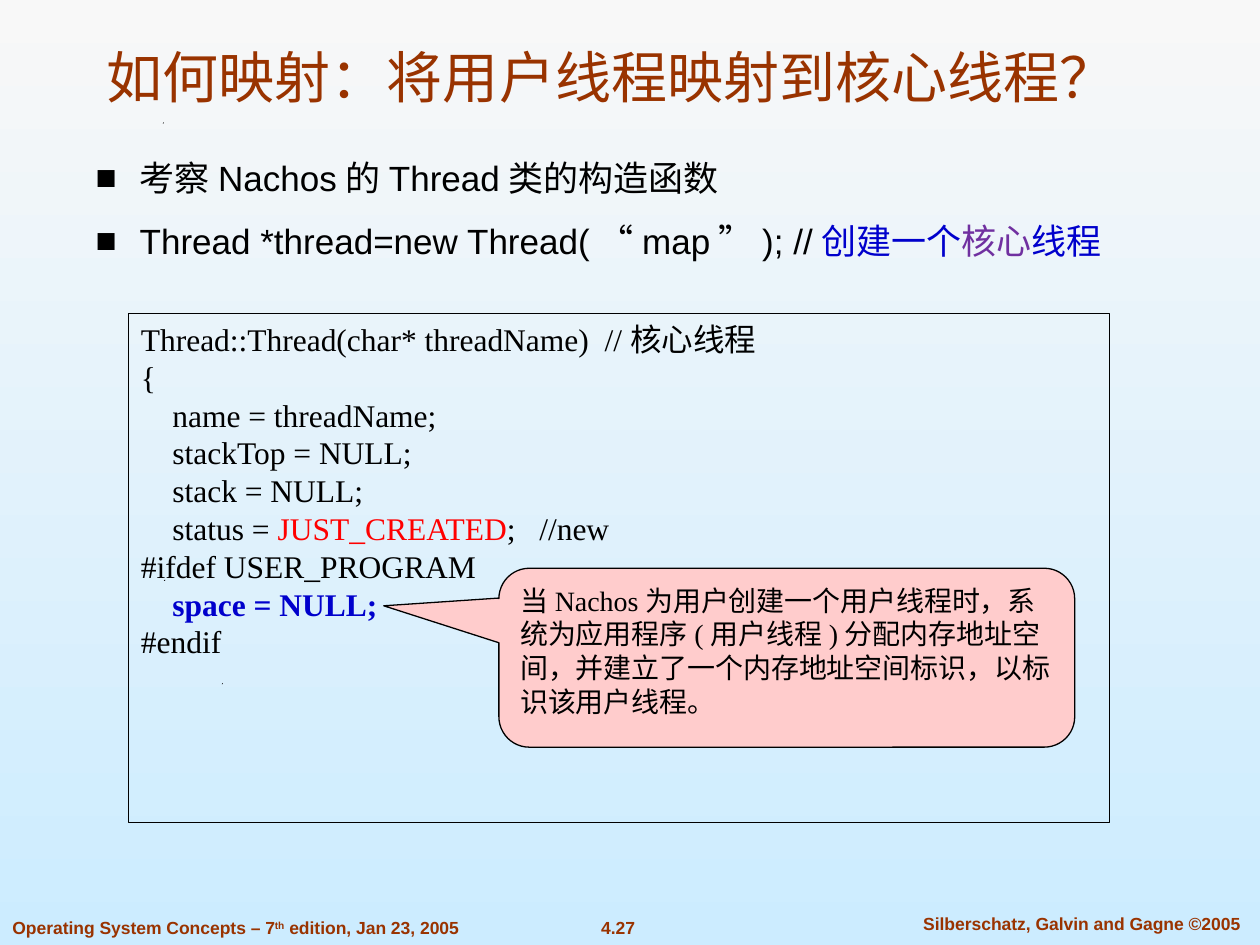
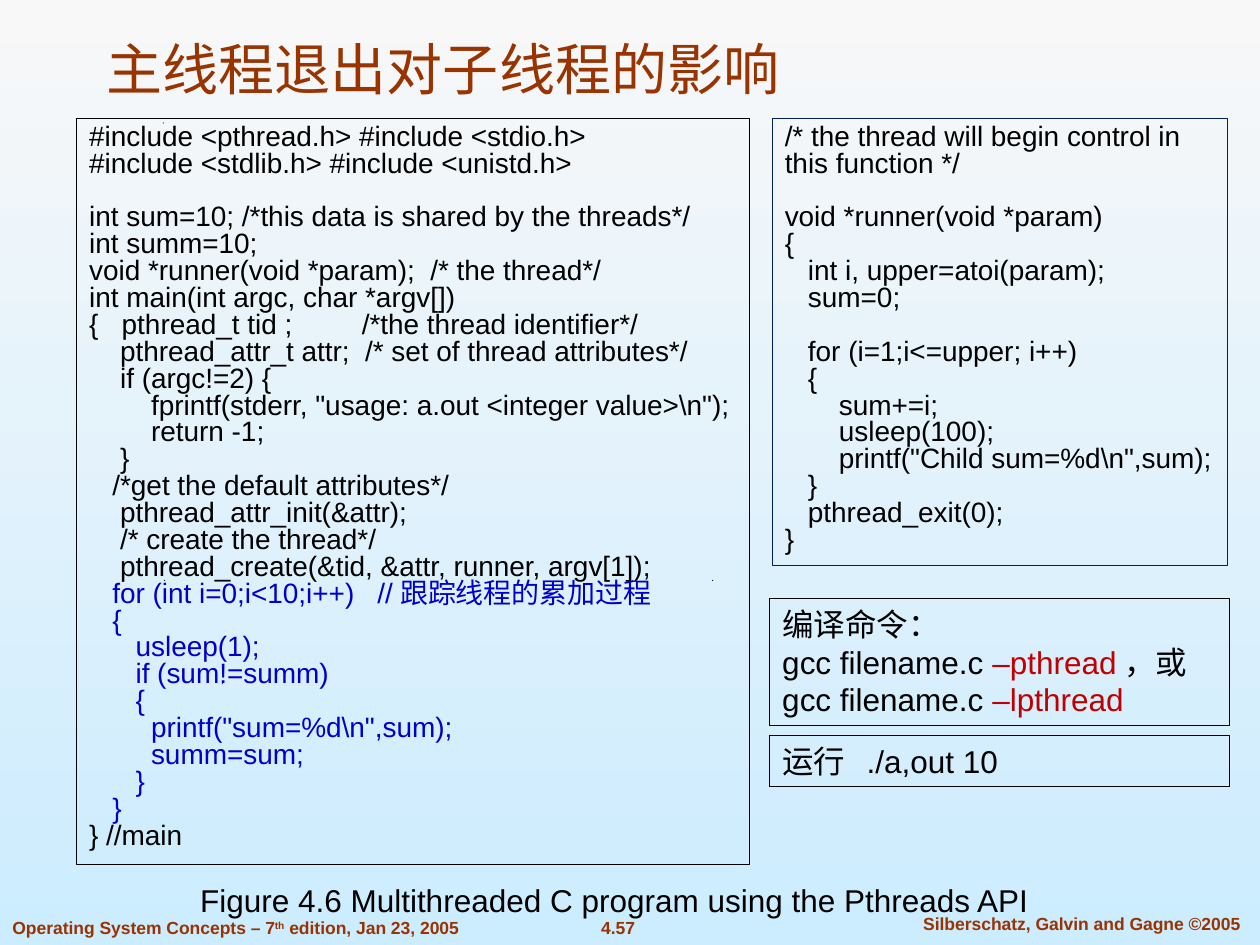
import pptx
import pptx.dml.color
import pptx.enum.shapes
import pptx.enum.text
import pptx.oxml.ns
import pptx.util
from lxml import etree

Inches = pptx.util.Inches
Pt = pptx.util.Pt
Shape = pptx.enum.shapes.MSO_SHAPE
Align = pptx.enum.text.PP_ALIGN
Anchor = pptx.enum.text.MSO_ANCHOR

COLORS = {
    "sky_top": "F8F8F8", "sky_bottom": "CCECFF", "rust": "993300",
    "black": "000000", "blue": "0000CC", "purple": "7030A0", "red": "FF0000",
    "dark_red": "C00000", "navy": "002060", "pink": "FFCCCC",
}

# Text styles: every entry is a font attribute, except the colour
TITLE = {"name": "Arial", "size": Pt(32), "bold": False, "color": "rust"}
FOOTER = {"name": "Arial", "size": Pt(10), "bold": True, "color": "rust"}
BODY = {"name": "Arial", "size": Pt(20), "color": "black"}
COMMAND = {"name": "Arial", "size": Pt(18), "color": "black"}
PROGRAM = {"name": "Arial", "size": Pt(16), "color": "black"}
LISTING = {"name": "Times New Roman", "size": Pt(18), "color": "black"}
REMARK = {"name": "Times New Roman", "size": Pt(16), "color": "black"}

SPECKS = [(1.76, 5.42), (1.3, 4.6), (5.65, 4.6), (1.29, 0.97)]
SPECK_SIZE = 0.01


def rgb(name):
    return pptx.dml.color.RGBColor.from_string(COLORS[name])


def code(source, **look):
    """One paragraph per line; an empty line becomes an empty list."""
    return [[(line, look)] if line else []
            for line in source.strip("\n").splitlines()]


class Deck:
    def __init__(self):
        self.prs = pptx.Presentation()
        self.prs.slide_width, self.prs.slide_height = Inches(10), Inches(7.5)
        self.slide = None
        sky = self.prs.slide_master.background.fill
        sky.gradient()
        sky.gradient_angle = 270
        for stop, name in zip(sky.gradient_stops, ("sky_top", "sky_bottom")):
            stop.color.rgb = rgb(name)

    def new_slide(self, title, number, title_height):
        self.slide = self.prs.slides.add_slide(self.prs.slide_layouts[6])
        # Background specks
        for left, top in SPECKS:
            self.speck(left, top)
        # Footer
        self.text((4.5, 7.23, 0.81, 0.27), [number], FOOTER, align=Align.CENTER)
        self.text((7.1, 7.2, 2.97, 0.27), ["Silberschatz, Galvin and Gagne ©2005"],
                  FOOTER, align=Align.CENTER)
        self.text((0, 7.23, 4.21, 0.27),
                  [["Operating System Concepts – 7", ("th", {"baseline": "30000"}),
                    " edition, Jan 23, 2005"]], FOOTER)
        # Title
        self.text((0.75, 0.25, 8.83, title_height), [title], TITLE,
                  anchor=Anchor.BOTTOM)

    def speck(self, left, top):
        right, bottom = left + SPECK_SIZE, top + SPECK_SIZE
        outline = self.slide.shapes.build_freeform(Inches(left), Inches(bottom))
        outline.add_line_segments([(Inches(right), Inches(top)),
                                   (Inches(right), Inches(bottom))], close=True)
        speck = outline.convert_to_shape()
        speck.shadow.inherit = False
        speck.fill.solid()
        speck.fill.fore_color.rgb = rgb("black")
        speck.line.fill.background()

    def style_run(self, run, style):
        for attribute, value in style.items():
            if attribute == "color":
                run.font.color.rgb = rgb(value)
            elif attribute == "baseline":
                run._r.get_or_add_rPr().set("baseline", value)
            else:
                setattr(run.font, attribute, value)

    def fill_text(self, frame, paragraphs, style, anchor=Anchor.TOP, **layout):
        frame.word_wrap = True
        frame.vertical_anchor = anchor
        layout = {"alignment": layout.pop("align", Align.LEFT), **layout}
        gap, first = 0, True
        for pieces in paragraphs:
            if not pieces:
                gap += style["size"] * 1.2 * layout.get("line_spacing", 1)
                continue
            paragraph = frame.paragraphs[0] if first else frame.add_paragraph()
            for attribute, value in layout.items():
                if not (first and attribute == "space_before"):
                    setattr(paragraph, attribute, value)
            if gap:
                paragraph.space_before = int(gap)
            gap, first = 0, False
            for piece in [pieces] if isinstance(pieces, str) else pieces:
                words, look = (piece, {}) if isinstance(piece, str) else piece
                run = paragraph.add_run()
                run.text = words
                self.style_run(run, {**style, **look})

    def text(self, at, paragraphs, style, **layout):
        box = self.slide.shapes.add_textbox(*map(Inches, at))
        self.fill_text(box.text_frame, paragraphs, style, **layout)
        return box

    def panel(self, at, paragraphs, style, kind=Shape.RECTANGLE, fill=None,
              line="black", width=0.75, **layout):
        panel = self.slide.shapes.add_shape(kind, *map(Inches, at))
        panel.shadow.inherit = False
        if fill:
            panel.fill.solid()
            panel.fill.fore_color.rgb = rgb(fill)
        else:
            panel.fill.background()
        panel.line.color.rgb = rgb(line)
        panel.line.width = Pt(width)
        self.fill_text(panel.text_frame, paragraphs, style, **layout)
        return panel

    def callout(self, at, paragraphs, style, fill, adjustments):
        callout = self.panel(at, paragraphs, style,
                             Shape.ROUNDED_RECTANGULAR_CALLOUT, fill)
        for index, value in enumerate(adjustments):
            callout.adjustments[index] = value

    def add_property(self, parent, tag, **attributes):
        return etree.SubElement(parent, pptx.oxml.ns.qn(tag), attributes)

    def bullets(self, at, paragraphs, style):
        box = self.text(at, paragraphs, style, space_before=Pt(12))
        for paragraph in box.text_frame.paragraphs:
            properties = paragraph._p.get_or_add_pPr()
            properties.set("marL", str(Inches(0.35)))
            properties.set("indent", str(-Inches(0.35)))
            color = self.add_property(properties, "a:buClr")
            self.add_property(color, "a:srgbClr", val=COLORS["black"])
            self.add_property(properties, "a:buSzPct", val="100000")
            self.add_property(properties, "a:buFont", typeface="Arial")
            self.add_property(properties, "a:buChar", char="■")

    def tab_stop(self, shape, position):
        for paragraph in shape.text_frame.paragraphs:
            stops = self.add_property(paragraph._p.get_or_add_pPr(), "a:tabLst")
            self.add_property(stops, "a:tab", pos=str(Inches(position)), algn="l")


THREAD_START = """
Thread::Thread(char* threadName)  //核心线程
{
    name = threadName;
    stackTop = NULL;
    stack = NULL;
"""

MAIN_START = r"""
#include <pthread.h> #include <stdio.h>
#include <stdlib.h> #include <unistd.h>

int sum=10; /*this data is shared by the threads*/
int summ=10;
void *runner(void *param);  /* the thread*/
int main(int argc, char *argv[])
{   pthread_t tid ;         /*the thread identifier*/
    pthread_attr_t attr;  /* set of thread attributes*/
    if (argc!=2) {
        fprintf(stderr, "usage: a.out <integer value>\n");
        return -1;
    }
   /*get the default attributes*/
    pthread_attr_init(&attr);
    /* create the thread*/
    pthread_create(&tid, &attr, runner, argv[1]);
"""

TRACE_LOOP = r"""
   for (int i=0;i<10;i++)   //跟踪线程的累加过程
   {
      usleep(1);
      if (sum!=summ)
      {
        printf("sum=%d\n",sum);
        summ=sum;
      }
   }
"""

RUNNER = r"""
/* the thread will begin control in this function */

void *runner(void *param)
{
   int i, upper=atoi(param);
   sum=0;

   for (i=1;i<=upper; i++)
   {
       sum+=i;
       usleep(100);
       printf("Child sum=%d\n",sum);
   }
   pthread_exit(0);
}
"""


def mapping_slide(deck):
    deck.new_slide("如何映射：将用户线程映射到核心线程？", "4.27", 0.67)
    blue = {"color": "blue"}
    deck.bullets((0.66, 1.19, 8.65, 1.05), [
        "考察Nachos的Thread类的构造函数",
        ["Thread *thread=new Thread(“map”); //", ("创建一个", blue),
         ("核心", {"color": "purple"}), ("线程", blue)],
    ], BODY)
    # Constructor
    constructor = code(THREAD_START) + [
        ["    status = ", ("JUST_CREATED", {"color": "red"}), ";   //new"],
        "#ifdef USER_PROGRAM",
        ["    ", ("space = NULL;", {"color": "blue", "bold": True})],
        "#endif",
    ]
    deck.panel((1.02, 2.49, 7.78, 4.04), constructor, LISTING, width=0.25)
    deck.callout((3.96, 4.51, 4.57, 1.42), [
        "当Nachos为用户创建一个用户线程时，系统为应用程序(用户线程)分配内存地址空间，"
        "并建立了一个内存地址空间标识，以标识该用户线程。",
    ], REMARK, "pink", (-0.7, -0.29, 0.17))


def exit_slide(deck):
    deck.new_slide("主线程退出对子线程的影响", "4.57", 0.61)
    # Program
    main_program = code(MAIN_START) + code(TRACE_LOOP, color="blue") + code("} //main")
    deck.panel((0.61, 0.94, 5.34, 5.92), main_program, PROGRAM, line_spacing=0.8)
    deck.panel((6.13, 0.94, 3.61, 3.55), code(RUNNER), PROGRAM, line="navy",
               line_spacing=0.8)
    # Compile and run
    flag = {"color": "dark_red"}
    deck.panel((6.11, 4.75, 3.65, 1.01), [
        "编译命令：",
        ["gcc filename.c ", ("–pthread", flag), "，或"],
        ["gcc filename.c ", ("–lpthread", flag)],
    ], COMMAND)
    run_command = deck.panel((6.11, 5.84, 3.65, 0.4), ["运行\t./a,out 10"], COMMAND)
    deck.tab_stop(run_command, 0.67)
    # Caption
    deck.text((1.49, 6.94, 7.34, 0.4),
              ["Figure 4.6 Multithreaded C program using the Pthreads API"], COMMAND)


def main():
    deck = Deck()
    mapping_slide(deck)
    exit_slide(deck)
    deck.prs.save("out.pptx")


if __name__ == "__main__":
    main()
